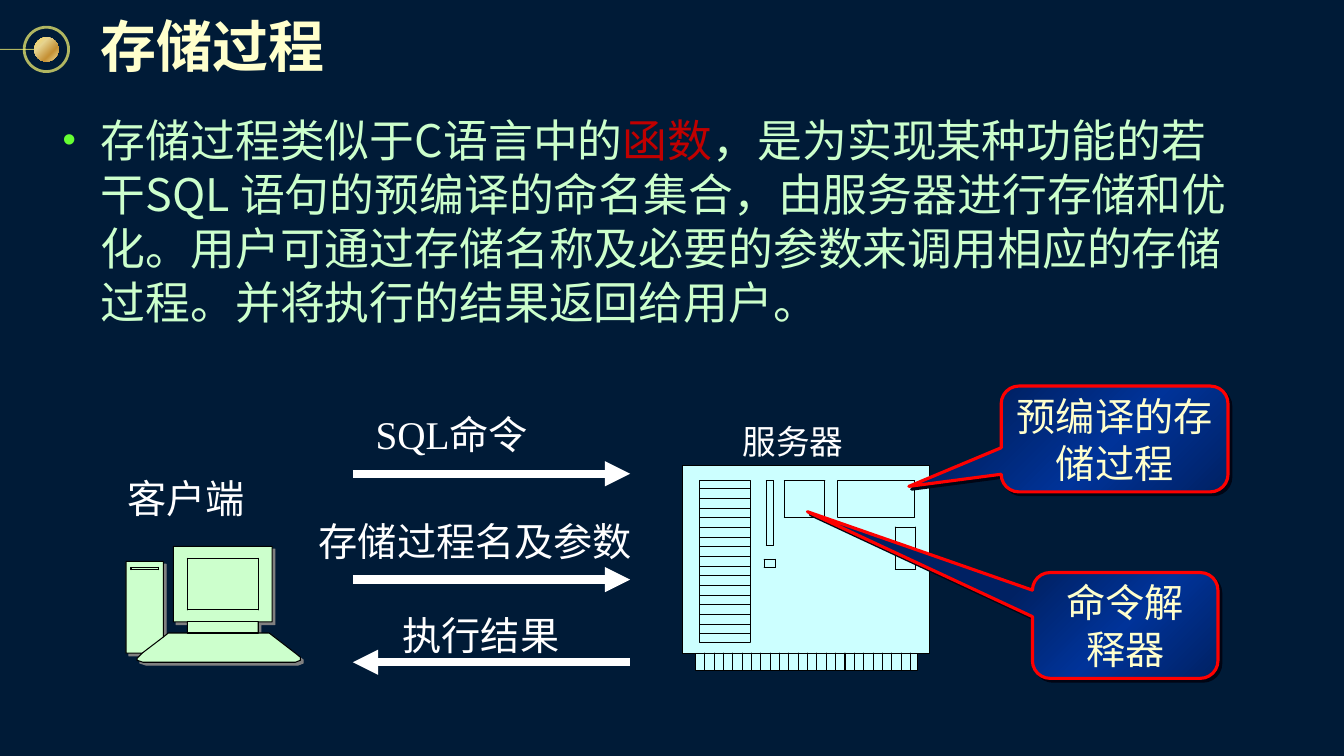
import pptx
import pptx.dml.color
import pptx.enum.shapes
import pptx.enum.text
import pptx.oxml
import pptx.oxml.ns
import pptx.util
from lxml import etree

Inches = pptx.util.Inches
qn = pptx.oxml.ns.qn
SHAPE = pptx.enum.shapes.MSO_SHAPE
ALIGN = pptx.enum.text.PP_ALIGN
ANCHOR = pptx.enum.text.MSO_ANCHOR
FIT = pptx.enum.text.MSO_AUTO_SIZE
SANS, SERIF = "Noto Sans CJK SC", "Times New Roman"
GOLD = [(0, "FCD860"), (31, "E6D38F"), (68, "C69135"), (100, "F1DF97")]
BLUE = [(0, "002163"), (50, "003399"), (100, "002163")]


def rgb(color):
    """Return the colour for a hex string."""
    return pptx.dml.color.RGBColor.from_string(color)


def assign(obj, values):
    """Set each attribute named in values."""
    for name, value in values.items():
        setattr(obj, name, value)


def add_color(parent, color):
    """Append a colour element and return it."""
    return etree.SubElement(parent, qn("a:srgbClr"), val=color)


def add_shadow(effects, color):
    """Append a short lower-right shadow to an effect list."""
    shadow = etree.SubElement(effects, qn("a:outerShdw"), dist="35560",
                              dir="2700000", algn="ctr", rotWithShape="0")
    add_color(shadow, color)


def set_gradient(sp, stops, angle):
    """Fill a shape with a linear gradient."""
    sp.fill.solid()
    old = sp._element.spPr.find(qn("a:solidFill"))
    grad = etree.Element(qn("a:gradFill"), rotWithShape="1")
    stop_list = etree.SubElement(grad, qn("a:gsLst"))
    for pos, color in stops:
        add_color(etree.SubElement(stop_list, qn("a:gs"), pos=str(pos * 1000)), color)
    etree.SubElement(grad, qn("a:lin"), ang=str(angle * 60000), scaled="0")
    old.getparent().replace(old, grad)


def set_line(sp, color, width, alpha=None):
    """Colour an outline, optionally see-through, and return its element."""
    sp.line.color.rgb = rgb(color)
    sp.line.width = pptx.util.Pt(width)
    ln = sp._element.spPr.find(qn("a:ln"))
    if alpha:
        clr = ln.find(".//" + qn("a:srgbClr"))
        etree.SubElement(clr, qn("a:alpha"), val=str(alpha * 1000))
    return ln


def add_run(p, text, font, size, color, bold=False):
    """Add a formatted run and return it."""
    r = p.add_run()
    r.text = text
    assign(r.font, {"size": pptx.util.Pt(size), "bold": bold, "name": font})
    r.font.color.rgb = rgb(color)
    latin = r._r.rPr.find(qn("a:latin"))
    ea = etree.Element(qn("a:ea"), typeface=SANS)
    latin.addnext(ea)
    return r


def place(sp, left, top, width, height):
    """Move and size a shape, in inches."""
    assign(sp, {"left": Inches(left), "top": Inches(top),
                "width": Inches(width), "height": Inches(height)})


def set_margins(tf, inset):
    """Give a text frame equal margins, in inches."""
    sides = ("left", "top", "right", "bottom")
    assign(tf, {f"margin_{side}": Inches(inset) for side in sides})


def fill_title(sp, text):
    """Format the title placeholder."""
    place(sp, 0.92, 0.03, 2.4, 0.83)
    tf = sp.text_frame
    set_margins(tf, 0.08)
    assign(tf, {"word_wrap": False, "auto_size": FIT.SHAPE_TO_FIT_TEXT,
                "vertical_anchor": ANCHOR.MIDDLE})
    p = tf.paragraphs[0]
    p.alignment = ALIGN.LEFT
    r = add_run(p, text, SANS, 40, "FFFFCC", True)
    effects = etree.Element(qn("a:effectLst"))
    r._r.rPr.find(qn("a:solidFill")).addnext(effects)
    add_shadow(effects, "000000")


def fill_body(sp, runs):
    """Format the body placeholder as one bulleted paragraph."""
    place(sp, 0.52, 1.07, 11.89, 3.17)
    tf = sp.text_frame
    assign(tf, {"word_wrap": True, "auto_size": FIT.NONE, "vertical_anchor": ANCHOR.TOP})
    p = tf.paragraphs[0]
    p.space_before = pptx.util.Pt(0)
    pPr = p._p.get_or_add_pPr()
    indent = Inches(0.38)
    pPr.set("marL", str(indent))
    pPr.set("indent", str(-indent))
    add_color(etree.SubElement(pPr, qn("a:buClr")), "66FF33")
    etree.SubElement(pPr, qn("a:buSzPct"), val="85000")
    etree.SubElement(pPr, qn("a:buChar"), char="•")
    for text, color in runs:
        add_run(p, text, SANS, 32, color)


def add_label(slide, text, box, size=28):
    """Add a centred white label."""
    tf = slide.shapes.add_textbox(*map(Inches, box)).text_frame
    set_margins(tf, 0)
    assign(tf, {"word_wrap": False, "auto_size": FIT.SHAPE_TO_FIT_TEXT})
    p = tf.paragraphs[0]
    p.alignment = ALIGN.CENTER
    add_run(p, text, SERIF, size, "FFFFFF")


def add_line(slide, x1, x2, y, color, width, arrow=None, alpha=None):
    """Add a level line, with an arrowhead if one is named."""
    straight = pptx.enum.shapes.MSO_CONNECTOR.STRAIGHT
    sp = slide.shapes.add_connector(straight, *map(Inches, (x1, y, x2, y)))
    ln = set_line(sp, color, width, alpha)
    if arrow:
        etree.SubElement(ln, qn(arrow), type="triangle")
    etree.SubElement(sp._element.spPr, qn("a:effectLst"))


def add_circle(slide, left, top, size):
    """Add a plain circle turned to the left."""
    sp = slide.shapes.add_shape(SHAPE.OVAL, *map(Inches, (left, top, size, size)))
    sp.rotation = 270
    sp.shadow.inherit = False
    return sp


def add_callout(slide, text, box, tip):
    """Add a rounded callout whose tip is given relative to its size."""
    sp = slide.shapes.add_shape(SHAPE.ROUNDED_RECTANGULAR_CALLOUT, *map(Inches, box))
    for i, value in enumerate((*tip, 0.167)):
        sp.adjustments[i] = value
    set_gradient(sp, BLUE, 45)
    set_line(sp, "FF0000", 2.25)
    sp.shadow.inherit = False
    add_shadow(sp._element.spPr.find(qn("a:effectLst")), "000514")
    tf = sp.text_frame
    assign(tf, {"word_wrap": True, "vertical_anchor": ANCHOR.MIDDLE})
    p = tf.paragraphs[0]
    p.alignment = ALIGN.CENTER
    add_run(p, text, SERIF, 28, "FFFFCC")


def frame(x, y, w, h):
    """Return the four sides of a rectangle as strokes."""
    corners = [(x, y), (x + w, y), (x + w, y + h), (x, y + h)]
    return list(zip(corners, corners[1:] + corners[:1]))


def add_device(slide, outline, strokes, color):
    """Add a filled outline with inner strokes as one freeform."""
    contours = [[(Inches(x), Inches(y)) for x, y in pts] for pts in [outline, *strokes]]
    builder = slide.shapes.build_freeform(*contours[0][0])
    builder.add_line_segments(contours[0][1:])
    for start, *rest in contours[1:]:
        builder.move_to(*start)
        builder.add_line_segments(rest)
    sp = builder.convert_to_shape()
    sp.fill.solid()
    sp.fill.fore_color.rgb = rgb(color)
    set_line(sp, "000000", 0.75)
    sp.shadow.inherit = False
    return sp


def add_client(slide):
    """Draw the client computer."""
    outline = [(1.62, 6.32), (1.67, 6.28), (1.86, 6.28), (1.86, 6.17), (1.72, 6.17),
               (1.72, 5.42), (2.7, 5.42), (2.7, 6.17), (2.56, 6.17), (2.56, 6.28),
               (2.67, 6.28), (2.93, 6.48), (2.98, 6.52), (2.98, 6.55), (2.93, 6.57),
               (1.42, 6.57), (1.36, 6.55), (1.36, 6.53), (1.41, 6.48), (1.25, 6.48),
               (1.25, 5.57), (1.62, 5.57)]
    screen, stand = frame(1.86, 5.54, 0.7, 0.51), frame(1.86, 6.17, 0.7, 0.11)
    slot, keyboard_edge = frame(1.3, 5.63, 0.27, 0.02), [(1.62, 6.32), (1.41, 6.48)]
    sp = add_device(slide, outline, screen + stand + slot + [keyboard_edge], "CCFFCC")
    add_shadow(sp._element.spPr.find(qn("a:effectLst")), "808080")


def add_server(slide):
    """Draw the server board with its slats, chips and contact teeth."""
    outline = [(6.77, 4.62), (9.22, 4.62), (9.22, 6.48), (9.1, 6.48),
               (9.1, 6.65), (6.9, 6.65), (6.9, 6.48), (6.77, 6.48)]
    chips = [(6.94, 4.77, 0.5, 1.6), (7.6, 4.77, 0.07, 0.64), (7.58, 5.55, 0.11, 0.08),
             (7.78, 4.77, 0.4, 0.36), (8.31, 4.77, 0.76, 0.36), (8.88, 5.23, 0.2, 0.42)]
    strokes = [side for chip in chips for side in frame(*chip)]
    slats = [4.85 + i * 1.44 / 15 for i in range(16)]
    teeth = [6.99 + i * 2.04 / 22 for i in range(23)]
    strokes += [[(6.94, y), (7.44, y)] for y in slats]
    strokes += [[(x, 6.48), (x, 6.65)] for x in teeth]
    strokes.append([(6.9, 6.48), (9.1, 6.48)])
    add_device(slide, outline, strokes, "CCFFFF")


def main():
    """Build and save the slide."""
    prs = pptx.Presentation()
    assign(prs, {"slide_width": Inches(13.33), "slide_height": Inches(7.5)})
    slide = prs.slides.add_slide(prs.slide_layouts[1])
    slide.background.fill.solid()
    slide.background.fill.fore_color.rgb = rgb("001B37")
    ring = add_circle(slide, 0.24, 0.27, 0.44)
    ring.fill.background()
    set_line(ring, "FCF873", 2, 70)
    add_line(slide, 0, 0.34, 0.49, "FCF873", 0.75, alpha=70)
    ball = add_circle(slide, 0.34, 0.37, 0.24)
    set_gradient(ball, GOLD, 135)
    ball.line.fill.background()
    fill_title(slide.shapes.title, "存储过程")
    fill_body(slide.placeholders[1], [
        ("存储过程类似于C语言中的", "CCFFCC"), ("函数", "C00000"),
        ("，是为实现某种功能的若干SQL 语句的预编译的命名集合，由服务器进行存储和优化。"
         "用户可通过存储名称及必要的参数来调用相应的存储过程。并将执行的结果返回给用户。", "CCFFCC")])
    add_label(slide, "客户端", (1.08, 4.71, 1.53, 0.53))
    add_client(slide)
    add_server(slide)
    add_label(slide, "服务器", (7.21, 4.18, 1.31, 0.45), 24)
    for text, box, y, arrow in (
            ("SQL命令", (3.49, 4.07, 1.98, 0.53), 4.7, "a:tailEnd"),
            ("存储过程名及参数", (2.68, 5.13, 4.07, 0.53), 5.75, "a:tailEnd"),
            ("执行结果", (3.75, 6.06, 2.04, 0.53), 6.57, "a:headEnd")):
        add_line(slide, 3.5, 6.25, y, "FFFFFF", 6, arrow)
        add_label(slide, text, box)
    add_callout(slide, "预编译的存储过程", (9.93, 3.83, 2.25, 1.05), (-0.907, 0.448))
    add_callout(slide, "命令解释器", (10.24, 5.68, 1.84, 1.05), (-1.713, -1.075))
    prs.save("out.pptx")


if __name__ == "__main__":
    main()
